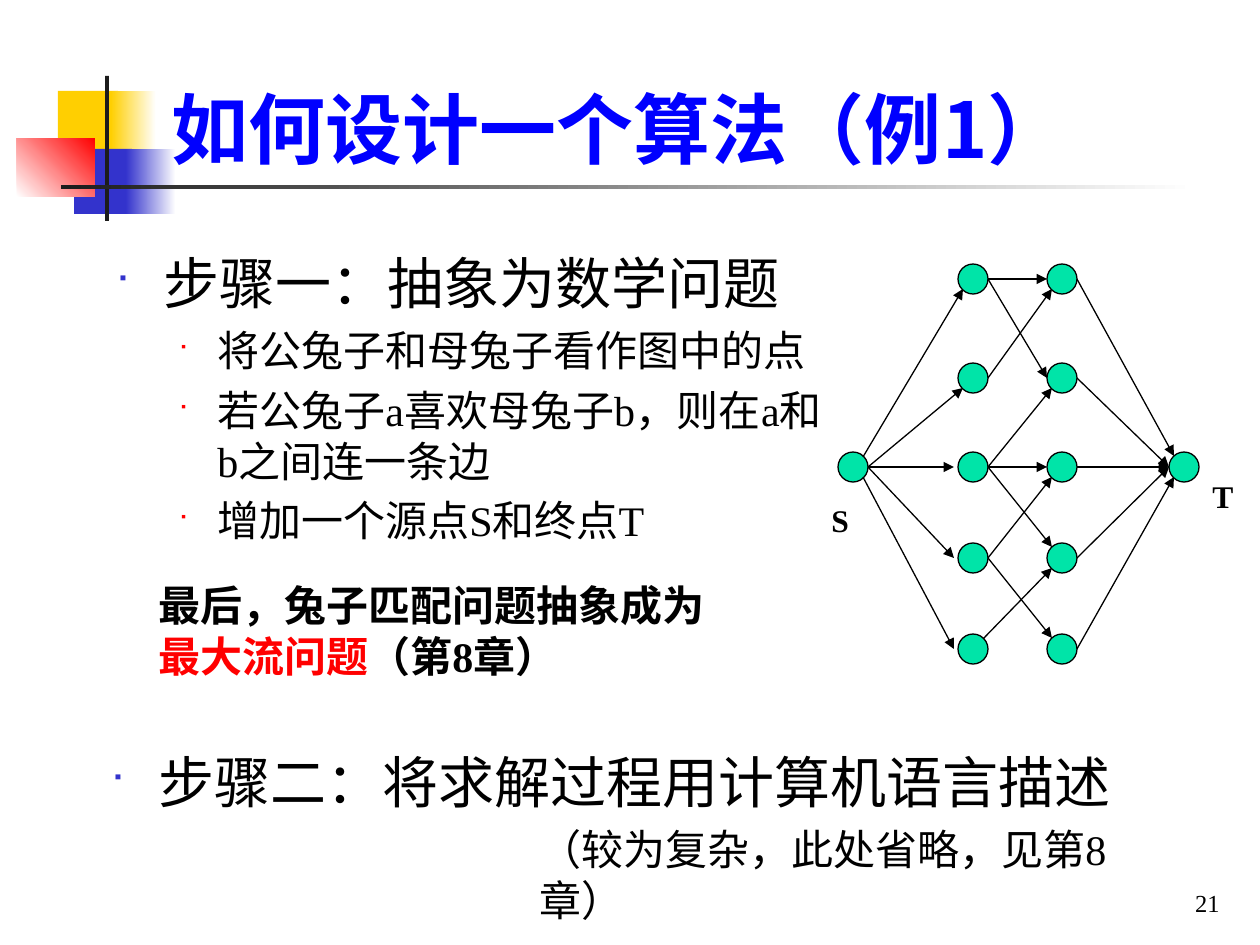
from lxml import etree
from pptx import Presentation
from pptx.dml.color import RGBColor
from pptx.enum.shapes import MSO_CONNECTOR, MSO_SHAPE
from pptx.enum.text import MSO_ANCHOR, PP_ALIGN
from pptx.oxml.ns import qn
from pptx.util import Pt

RECTANGLE, OVAL = MSO_SHAPE.RECTANGLE, MSO_SHAPE.OVAL
STRAIGHT = MSO_CONNECTOR.STRAIGHT
TOP, BOTTOM = MSO_ANCHOR.TOP, MSO_ANCHOR.BOTTOM
LEFT, RIGHT = PP_ALIGN.LEFT, PP_ALIGN.RIGHT

COLORS = {
    "yellow": "FFCF01", "blue": "3333CC", "red": "FF0000", "dark": "1C1C1C",
    "white": "FFFFFF", "black": "000000", "title": "0000FF", "node": "00E4A8",
}
SANS, SERIF = "Noto Sans CJK SC", "Times New Roman"
LINE_HEIGHTS = {32: 41, 24: 29}

DECORATIONS = [
    (58, 91, 60, 65, ["yellow"], 0),
    (111, 91, 45, 65, ["yellow", "white"], 0),
    (74, 149, 58, 65, ["blue"], 0),
    (126, 149, 50, 65, ["blue", "white"], 0),
    (17, 138, 78, 59, ["white", "red"], 45),
    (105, 76, 4, 145, ["dark"], 0),
    (61, 185, 1134, 4, ["dark", "white"], 0),
]

HEADING = {"size": 32, "font": SANS, "indent": (48, -48), "bullet": ("blue", 60)}
POINT = {"size": 24, "font": SERIF, "indent": (102, -39), "bullet": ("red", 55), "before": 5}
NOTE = {"size": 24, "font": SERIF, "indent": (63, 0)}
BOLD_NOTE = {**NOTE, "bold": True}
LABEL = {"size": 18, "font": SERIF, "bold": True}

TEXTS = [
    ((159, 29, 1074, 145), BOTTOM, [
        ([("如何设计一个算法（例1）", "title")], {"size": 44, "font": SANS, "bold": True})]),
    ((103, 238, 736, 665), TOP, [
        ([("步骤一：抽象为数学问题", "black")], HEADING),
        ([("将公兔子和母兔子看作图中的点", "black")], POINT),
        ([("若公兔子a喜欢母兔子b，则在a和b之间连一条边", "black")], POINT),
        ([("增加一个源点S和终点T", "black")], POINT)]),
    ((83, 573, 667, 115), TOP, [
        ([("最后，兔子匹配问题抽象成为", "black"), ("最大流问题", "red"),
          ("（第8章）", "black")], BOLD_NOTE)]),
    ((98, 737, 1071, 115), TOP, [
        ([("步骤二：将求解过程用计算机语言描述", "black")], HEADING)]),
    ((464, 817, 712, 115), TOP, [
        ([("（较为复杂，此处省略，见第8章）", "black")], NOTE)]),
    ((819, 495, 43, 50), TOP, [([("S", "black")], LABEL)]),
    ((1200, 471, 47, 50), TOP, [([("T", "black")], LABEL)]),
    ((970, 861, 262, 63), BOTTOM, [
        ([("21", "black")], {"size": 14, "font": SERIF, "align": RIGHT})]),
]

NODE_SIZE = 30
ROW_TOPS = [264, 363, 452, 543, 634]
NODES = {"S": (838, ROW_TOPS[2]), "T": (1169, ROW_TOPS[2])}
for row, row_top in enumerate(ROW_TOPS, 1):
    NODES[f"M{row}"] = (958, row_top)
    NODES[f"F{row}"] = (1047, row_top)

PORTS = {
    "left": (0, 15), "right": (30, 15), "near": (-4, 15),
    "upper left": (5, 4), "lower left": (5, 25),
    "upper right": (25, 5), "lower right": (25, 25),
}
ARROWS = [
    ("M1", "right", "F1", "left"),
    ("M1", "right", "F2", "left"),
    ("M2", "right", "F1", "lower left"),
    ("M3", "right", "F2", "lower left"),
    ("M3", "right", "F3", "left"),
    ("M3", "right", "F4", "upper left"),
    ("M4", "right", "F3", "lower left"),
    ("M4", "right", "F5", "upper left"),
    ("M5", "upper right", "F4", "lower left"),
    ("S", "upper right", "M1", "lower left"),
    ("S", "right", "M2", "lower left"),
    ("S", "right", "M3", "near"),
    ("S", "right", "M4", "near"),
    ("S", "lower right", "M5", "near"),
    ("F1", "right", "T", "upper left"),
    ("F2", "right", "T", "left"),
    ("F3", "right", "T", "left"),
    ("F4", "right", "T", "left"),
    ("F5", "right", "T", "lower left"),
]


def px(value):
    return round(value * 914400 / 126)


def color(name):
    return RGBColor.from_string(COLORS[name])


def add_block(slide, kind, box, fills, angle=0, outlined=False):
    shape = slide.shapes.add_shape(kind, *map(px, box))
    shape.shadow.inherit = False
    if len(fills) == 1:
        shape.fill.solid()
        shape.fill.fore_color.rgb = color(fills[0])
    else:
        shape.fill.gradient()
        shape.fill.gradient_angle = angle
        for stop, name in zip(shape.fill.gradient_stops, fills):
            stop.color.rgb = color(name)
    if outlined:
        shape.line.color.rgb = color("black")
        shape.line.width = Pt(0.75)
    else:
        shape.line.fill.background()


def add_arrow(slide, source, source_port, target, target_port):
    points = [
        px(origin + offset)
        for node, port in ((source, source_port), (target, target_port))
        for origin, offset in zip(NODES[node], PORTS[port])
    ]
    connector = slide.shapes.add_connector(STRAIGHT, *points)
    connector.line.color.rgb = color("black")
    connector.line.width = Pt(0.75)
    line = connector.line._get_or_add_ln()
    etree.SubElement(line, qn("a:tailEnd"), type="triangle")
    etree.SubElement(connector._element.spPr, qn("a:effectLst"))


def format_paragraph(paragraph, runs, style):
    paragraph.alignment = style.get("align", LEFT)
    paragraph.space_before = Pt(style.get("before", 0))
    if style["size"] in LINE_HEIGHTS:
        paragraph.line_spacing = Pt(LINE_HEIGHTS[style["size"]])
    properties = paragraph._p.get_or_add_pPr()
    margin, indent = style.get("indent", (0, 0))
    properties.set("marL", str(px(margin)))
    properties.set("indent", str(px(indent)))
    if "bullet" in style:
        name, percent = style["bullet"]
        bullet_color = etree.SubElement(properties, qn("a:buClr"))
        etree.SubElement(bullet_color, qn("a:srgbClr"), val=COLORS[name])
        etree.SubElement(properties, qn("a:buSzPct"), val=str(percent * 1000))
        etree.SubElement(properties, qn("a:buFont"), typeface="Wingdings")
        etree.SubElement(properties, qn("a:buChar"), char="■")
    for text, name in runs:
        run = paragraph.add_run()
        run.text = text
        run.font.size = Pt(style["size"])
        run.font.bold = style.get("bold", False)
        run.font.color.rgb = color(name)
        run.font.name = style["font"]
        latin = run._r.rPr.find(qn("a:latin"))
        latin.addnext(etree.Element(qn("a:ea"), typeface=SANS))


def add_text(slide, box, anchor, paragraphs):
    text_frame = slide.shapes.add_textbox(*map(px, box)).text_frame
    text_frame.word_wrap = paragraphs[0][1] is not LABEL
    text_frame.vertical_anchor = anchor
    if paragraphs[0][1]["size"] == 44:
        text_frame.margin_bottom = 0
    for index, (runs, style) in enumerate(paragraphs):
        paragraph = text_frame.add_paragraph() if index else text_frame.paragraphs[0]
        format_paragraph(paragraph, runs, style)


def main():
    presentation = Presentation()
    presentation.slide_width, presentation.slide_height = px(1260), px(945)
    slide = presentation.slides.add_slide(presentation.slide_layouts[6])
    for *box, fills, angle in DECORATIONS:
        add_block(slide, RECTANGLE, box, fills, angle)
    for left, top in NODES.values():
        add_block(slide, OVAL, (left, top, NODE_SIZE, NODE_SIZE), ["node"], outlined=True)
    for arrow in ARROWS:
        add_arrow(slide, *arrow)
    for box, anchor, paragraphs in TEXTS:
        add_text(slide, box, anchor, paragraphs)
    presentation.save("out.pptx")


if __name__ == "__main__":
    main()
